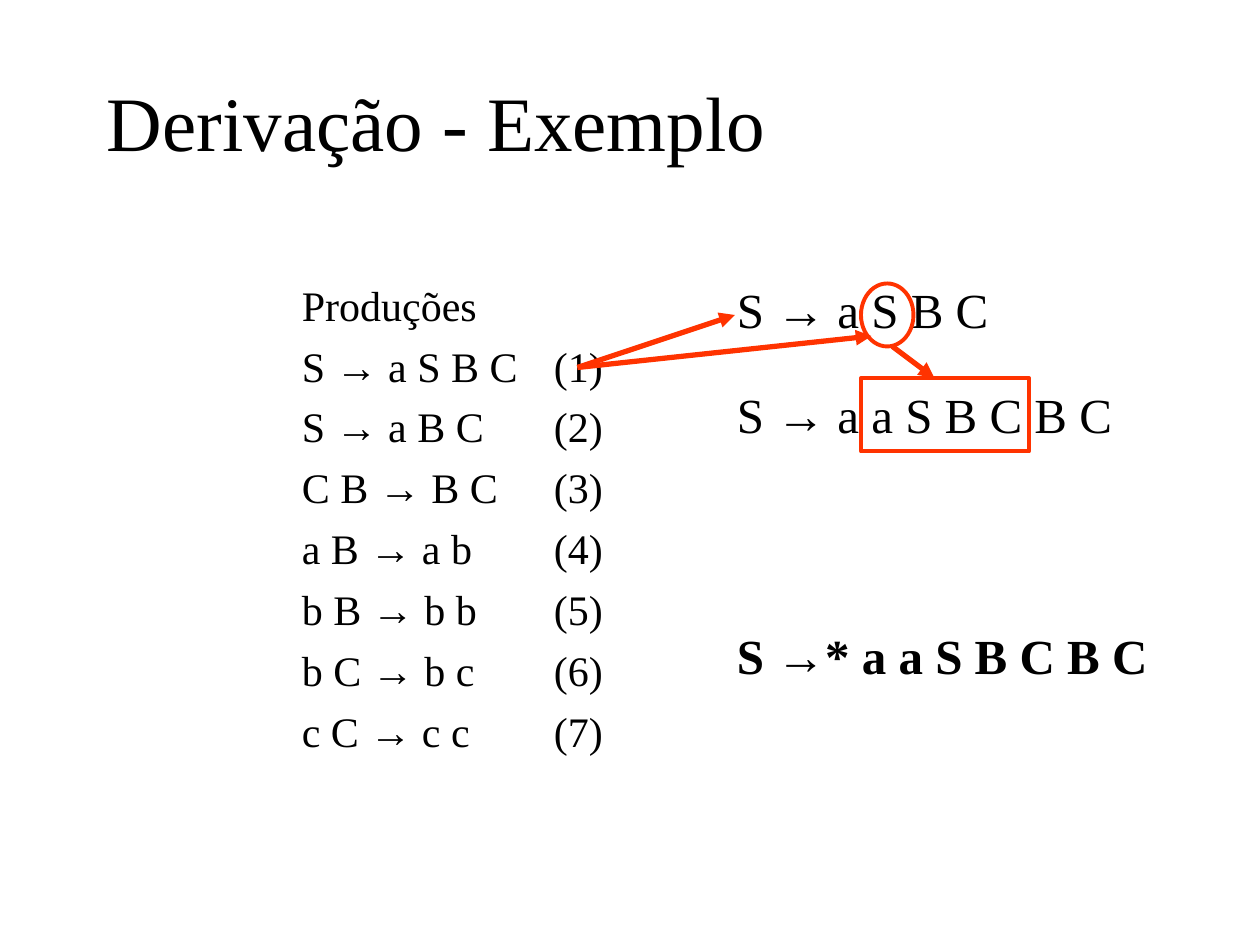
from dataclasses import dataclass

from lxml.etree import SubElement
from pptx import Presentation
from pptx.dml.color import RGBColor
from pptx.enum.shapes import MSO_CONNECTOR as Connector, MSO_SHAPE as Preset
from pptx.enum.text import MSO_ANCHOR as Anchor
from pptx.oxml.ns import qn
from pptx.util import Pt

COLORS = {"text": "000000", "mark": "FF3300"}
SERIF, SANS = "Times New Roman", "Arial"
ARROW = "→"


@dataclass
class TextBlock:
    left: float
    top: float
    width: float
    height: float
    lines: list[str]
    size: float
    bold: bool = False
    inset: float = 7.2
    space_before: float = 0
    tab: float = 0
    anchor: Anchor = Anchor.TOP


@dataclass
class Mark:
    preset: Preset
    left: float
    top: float
    width: float
    height: float


@dataclass
class Arrow:
    start: tuple[float, float]
    end: tuple[float, float]


def color(name: str) -> RGBColor:
    return RGBColor.from_string(COLORS[name])


def add_span(para, text: str, font_name: str, block: TextBlock) -> None:
    span = para.add_run()
    span.text = text
    span.font.name = font_name
    span.font.size = Pt(block.size)
    span.font.bold = block.bold
    span.font.color.rgb = color("text")


def add_text(page, block: TextBlock) -> None:
    box = page.shapes.add_textbox(
        Pt(block.left), Pt(block.top), Pt(block.width), Pt(block.height))
    frame = box.text_frame
    frame.word_wrap = True
    frame.vertical_anchor = block.anchor
    frame.margin_left = Pt(block.inset)
    for index, line in enumerate(block.lines):
        para = frame.add_paragraph() if index else frame.paragraphs[0]
        para.space_before = Pt(block.space_before)
        if block.tab:
            tabs = SubElement(para._p.get_or_add_pPr(), qn("a:tabLst"))
            SubElement(tabs, qn("a:tab"), pos=str(Pt(block.tab)), algn="l")
        # The arrow sign has its own font
        before, sign, after = line.partition(ARROW)
        add_span(para, before, SERIF, block)
        if sign:
            add_span(para, sign, SANS, block)
            add_span(para, after, SERIF, block)


def add_mark(page, mark: Mark) -> None:
    shape = page.shapes.add_shape(
        mark.preset, Pt(mark.left), Pt(mark.top), Pt(mark.width), Pt(mark.height))
    shape.shadow.inherit = False
    shape.fill.background()
    shape.line.color.rgb = color("mark")
    shape.line.width = Pt(2.25)


def add_arrow(page, arrow: Arrow) -> None:
    points = [Pt(value) for value in (*arrow.start, *arrow.end)]
    line = page.shapes.add_connector(Connector.STRAIGHT, *points)
    line.line.color.rgb = color("mark")
    line.line.width = Pt(3)
    SubElement(line.line._get_or_add_ln(), qn("a:tailEnd"), type="triangle")
    SubElement(line._element.spPr, qn("a:effectLst"))


def derivation(top: float, line: str, bold: bool = False) -> TextBlock:
    return TextBlock(414, top, 252, 54, [line], 28, bold, space_before=7)


RULES = ["S → a S B C", "S → a B C", "C B → B C", "a B → a b",
         "b B → b b", "b C → b c", "c C → c c"]
PRODUCTIONS = ["Produções"] + [
    f"{rule}\t({number})" for number, rule in enumerate(RULES, 1)]

TEXTS = [
    TextBlock(54, 24, 612, 90, ["Derivação - Exemplo"], 44, anchor=Anchor.MIDDLE),
    TextBlock(150, 156, 252, 324, PRODUCTIONS, 24, inset=22.5,
              space_before=6, tab=144),
    derivation(156, "S → a S B C"),
    derivation(216, "S → a a S B C B C"),
    derivation(354, "S →* a a S B C B C", bold=True),
]
MARKS = [
    Mark(Preset.OVAL, 492, 162, 30, 36),
    Mark(Preset.RECTANGLE, 492, 216, 96, 42),
]
RULE_ONE = (330, 210)
ARROWS = [
    Arrow(RULE_ONE, (420, 180)),
    Arrow(RULE_ONE, (498, 192)),
    Arrow((510, 198), (534, 216)),
]


def main() -> None:
    deck = Presentation()
    deck.slide_width, deck.slide_height = Pt(720), Pt(540)
    page = deck.slides.add_slide(deck.slide_layouts[6])
    # Title, productions and derivations
    for block in TEXTS:
        add_text(page, block)
    # Replaced symbol and its expansion
    for mark in MARKS:
        add_mark(page, mark)
    # Links from rule (1) to its uses
    for arrow in ARROWS:
        add_arrow(page, arrow)
    deck.save("out.pptx")


if __name__ == "__main__":
    main()
